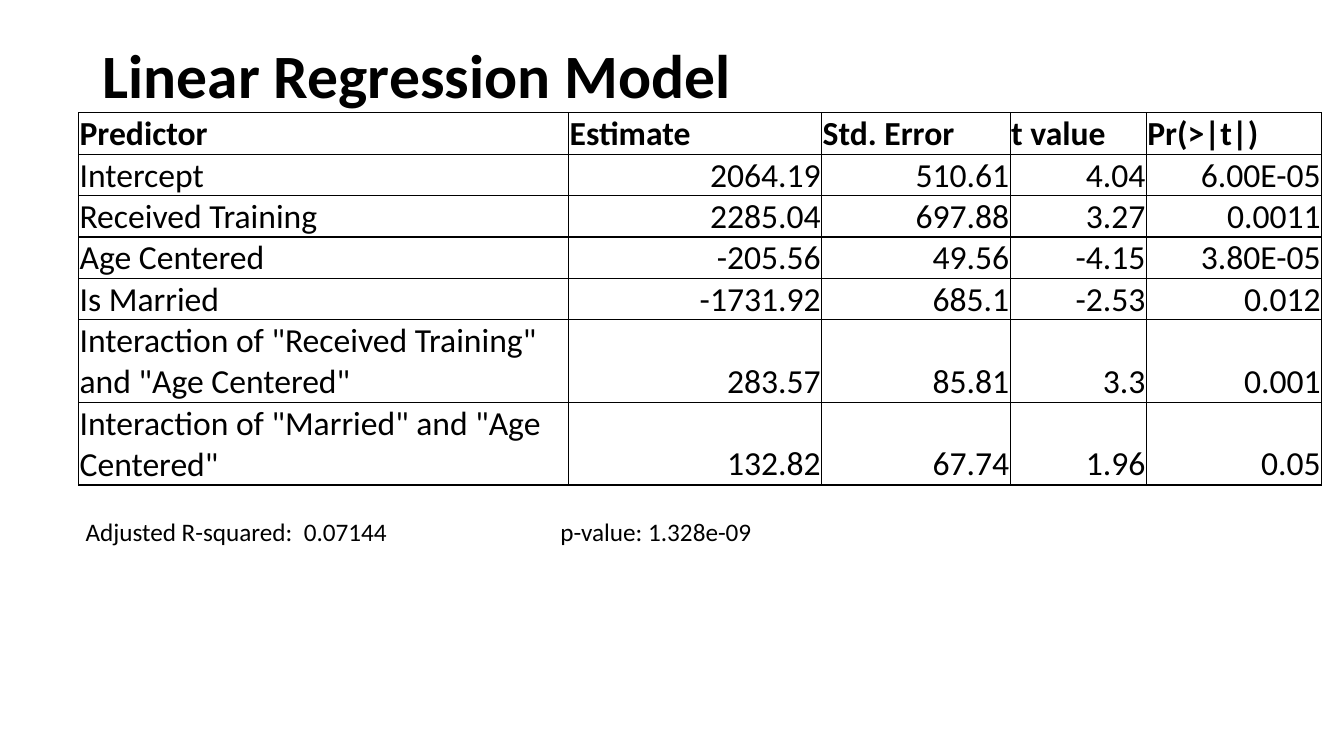
import pptx
import pptx.util
import pptx.dml.color
import pptx.enum.text
import pptx.oxml
import pptx.oxml.ns

Inches = pptx.util.Inches
Pt = pptx.util.Pt
ALIGN = pptx.enum.text.PP_ALIGN
ANCHOR = pptx.enum.text.MSO_ANCHOR
BLACK = "000000"


def add_span(para, text, size, bold=False, color=BLACK):
    span = para.add_run()
    span.text = text
    span.font.name = "Calibri"
    span.font.size = Pt(size)
    span.font.bold = bold
    span.font.color.rgb = pptx.dml.color.RGBColor.from_string(color)


def add_borders(cell, color=BLACK):
    """Draw a 1 pt line on all four sides; call before the cell's fill is set."""
    for side in ("lnL", "lnR", "lnT", "lnB"):
        cell._tc.get_or_add_tcPr().append(pptx.oxml.parse_xml(
            f'<a:{side} {pptx.oxml.ns.nsdecls("a")} w="{Pt(1)}"><a:solidFill>'
            f'<a:srgbClr val="{color}"/></a:solidFill></a:{side}>'))


deck = pptx.Presentation()
deck.slide_width = Inches(13.33)
deck.slide_height = Inches(7.5)
page = deck.slides.add_slide(deck.slide_layouts[6])

# Title
title = page.shapes.add_textbox(Inches(0.92), Inches(0.4), Inches(11.5), Inches(1.45))
title.text_frame.word_wrap = True
title.text_frame.vertical_anchor = ANCHOR.TOP
para = title.text_frame.paragraphs[0]
para.line_spacing = 0.9
add_span(para, "Linear Regression Model", 44, bold=True)

# Coefficient table
column_widths = [4.86, 2.51, 1.87, 1.35, 1.74]
row_heights = [0.41] * 5 + [0.82] * 2
coefficients = [
    ["Predictor", "Estimate", "Std. Error", "t value", "Pr(>|t|)"],
    ["Intercept", "2064.19", "510.61", "4.04", "6.00E-05"],
    ["Received Training", "2285.04", "697.88", "3.27", "0.0011"],
    ["Age Centered", "-205.56", "49.56", "-4.15", "3.80E-05"],
    ["Is Married", "-1731.92", "685.1", "-2.53", "0.012"],
    ['Interaction of "Received Training" and "Age Centered"',
     "283.57", "85.81", "3.3", "0.001"],
    ['Interaction of "Married" and "Age Centered"',
     "132.82", "67.74", "1.96", "0.05"],
]
table = page.shapes.add_table(
    len(row_heights), len(column_widths), Inches(0.78), Inches(1.12),
    Inches(sum(column_widths)), Inches(sum(row_heights))).table
table.first_row = False
table.horz_banding = False
for column, width in zip(table.columns, column_widths):
    column.width = Inches(width)
for row, height in zip(table.rows, row_heights):
    row.height = Inches(height)

for r, values in enumerate(coefficients):
    for c, value in enumerate(values):
        cell = table.cell(r, c)
        cell.margin_left = cell.margin_right = cell.margin_top = Inches(0.01)
        cell.margin_bottom = 0
        cell.vertical_anchor = ANCHOR.BOTTOM
        add_borders(cell)
        cell.fill.background()
        para = cell.text_frame.paragraphs[0]
        para.alignment = ALIGN.RIGHT if r > 0 and c > 0 else ALIGN.LEFT
        add_span(para, value, 24, bold=r == 0)

# Fit statistics below the table
for left, width, statistic in [(0.75, 3.23, "Adjusted R-squared:  0.07144"),
                               (5.46, 2.12, "p-value: 1.328e-09")]:
    box = page.shapes.add_textbox(Inches(left), Inches(5.07), Inches(width), Inches(0.4))
    box.text_frame.word_wrap = False
    box.text_frame.auto_size = pptx.enum.text.MSO_AUTO_SIZE.SHAPE_TO_FIT_TEXT
    add_span(box.text_frame.paragraphs[0], statistic, 18)

deck.save("out.pptx")
